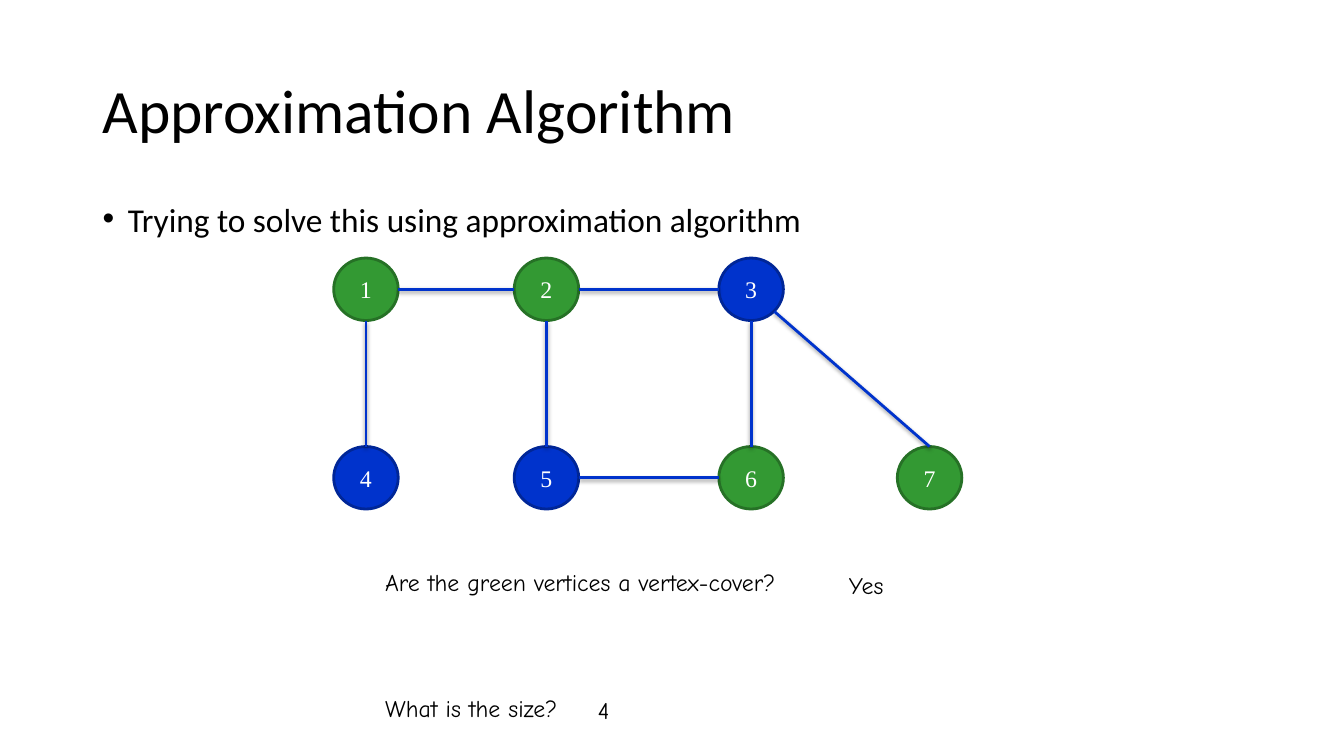
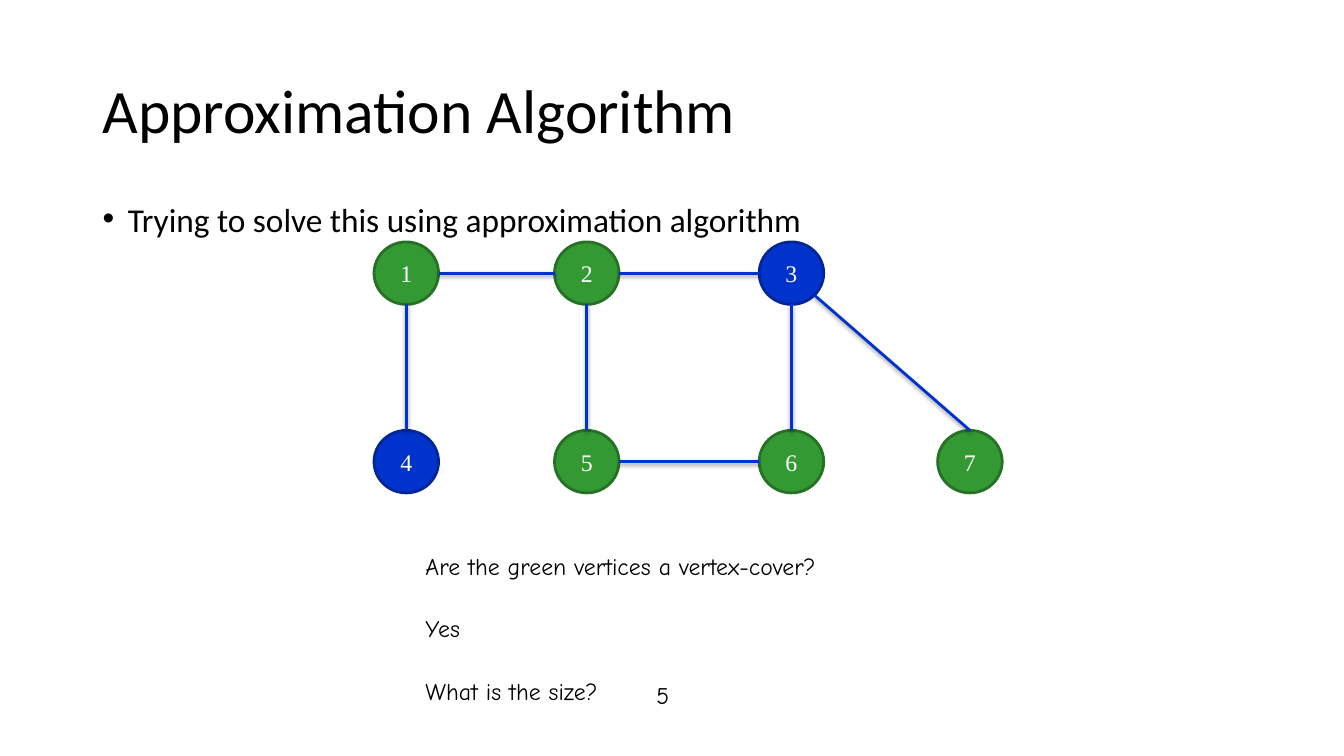
"""Build two slides that test a vertex cover on a seven-node graph."""
from lxml.etree import SubElement
from pptx import Presentation
from pptx.dml.color import RGBColor
from pptx.enum.shapes import MSO_CONNECTOR, MSO_SHAPE
from pptx.enum.text import MSO_ANCHOR, MSO_AUTO_SIZE, PP_ALIGN
from pptx.oxml.ns import qn
from pptx.util import Pt

PX = 9144
BLACK, WHITE, BLUE = "000000", "FFFFFF", "0033CC"
COVERED = {"fill": "339933", "edge": "267126"}
UNCOVERED = {"fill": BLUE, "edge": "002697"}

INSETS = {"margin_left": 11 * PX, "margin_right": 11 * PX, "margin_top": 5 * PX, "margin_bottom": 5 * PX}
TITLE = {
    "frame": {"word_wrap": True, "vertical_anchor": MSO_ANCHOR.MIDDLE},
    "paragraph": {"line_spacing": 0.9},
    "font": {"name": "Calibri", "size": Pt(44)},
}
BULLET = {
    "frame": {"word_wrap": True},
    "paragraph": {"line_spacing": 0.8},
    "font": {"name": "Calibri", "size": Pt(23.8)},
}
NODE = {
    "frame": {**INSETS, "word_wrap": True, "vertical_anchor": MSO_ANCHOR.MIDDLE},
    "paragraph": {"alignment": PP_ALIGN.CENTER},
    "font": {"name": "Times New Roman", "size": Pt(17)},
}
QUESTION = {
    "frame": {**INSETS, "word_wrap": True, "auto_size": MSO_AUTO_SIZE.SHAPE_TO_FIT_TEXT},
    "paragraph": {"alignment": PP_ALIGN.LEFT},
    "font": {"name": "Comic Neue", "size": Pt(17)},
}

NODE_W, NODE_H = 64, 62
NODE_PLACES = {4: (0, 187), 1: (0, 0), 2: (179, 0), 3: (382, 0), 6: (382, 187), 5: (179, 187), 7: (559, 187)}
SIDES = {"top": (32, 0), "left": (0, 31), "bottom": (32, 62), "right": (64, 31), "lower right": (55, 53)}
EDGES = [
    (1, "bottom", 4, "top"),
    (1, "right", 2, "left"),
    (2, "right", 3, "left"),
    (2, "bottom", 5, "top"),
    (3, "lower right", 7, "top"),
    (3, "bottom", 6, "top"),
    (5, "right", 6, "left"),
]
COVER_QUESTION, SIZE_QUESTION = "Are the green vertices a vertex-cover?", "What is the size?"
STEPS = [
    {
        "origin": (331, 256),
        "cover": {1, 2, 6, 7},
        "lines": [
            (COVER_QUESTION, 371, 558, 458),
            ("Yes", 831, 561, 76),
            (SIZE_QUESTION, 371, 683, 632),
            ("4", 582, 685, 40),
        ],
    },
    {
        "origin": (371, 240),
        "cover": {1, 2, 5, 6, 7},
        "lines": [
            (COVER_QUESTION, 411, 542, 458),
            ("Yes", 411, 604, 458),
            (SIZE_QUESTION, 411, 666, 632),
            ("5", 640, 670, 632),
        ],
    },
]


def paint(fill, color):
    fill.solid()
    fill.fore_color.rgb = RGBColor.from_string(color)


def write(shape, text, style, color=BLACK):
    frame = shape.text_frame
    frame.text = text
    paragraph = frame.paragraphs[0]
    targets = {"frame": frame, "paragraph": paragraph, "font": paragraph.runs[0].font}
    for part, target in targets.items():
        for name, value in style[part].items():
            setattr(target, name, value)
    paint(targets["font"].fill, color)
    return paragraph


deck = Presentation()
deck.slide_width, deck.slide_height = 1333 * PX, 750 * PX

for step in STEPS:
    slide = deck.slides.add_slide(deck.slide_layouts[6])
    shapes = slide.shapes
    paint(slide.background.fill, WHITE)

    write(shapes.add_textbox(92 * PX, 40 * PX, 1150 * PX, 145 * PX), "Approximation Algorithm", TITLE)
    intro = write(
        shapes.add_textbox(92 * PX, 200 * PX, 726 * PX, 56 * PX),
        "Trying to solve this using approximation algorithm",
        BULLET,
    )
    bullet_format = intro._p.get_or_add_pPr()
    bullet_format.set("marL", str(25 * PX))
    bullet_format.set("indent", str(-25 * PX))
    SubElement(bullet_format, qn("a:buFont"), typeface="Arial")
    SubElement(bullet_format, qn("a:buChar"), char="•")

    left, top = step["origin"]
    corners = {number: (left + x, top + y) for number, (x, y) in NODE_PLACES.items()}
    for number, (x, y) in corners.items():
        node = shapes.add_shape(MSO_SHAPE.OVAL, x * PX, y * PX, NODE_W * PX, NODE_H * PX)
        colors = COVERED if number in step["cover"] else UNCOVERED
        node.shadow.inherit = False
        paint(node.fill, colors["fill"])
        paint(node.line.fill, colors["edge"])
        node.line.width = Pt(2)
        write(node, str(number), NODE, WHITE)

    for start, start_side, end, end_side in EDGES:
        ends = [
            (corner + offset) * PX
            for number, side in ((start, start_side), (end, end_side))
            for corner, offset in zip(corners[number], SIDES[side])
        ]
        edge = shapes.add_connector(MSO_CONNECTOR.STRAIGHT, *ends)
        paint(edge.line.fill, BLUE)
        edge.line.width = Pt(2)
        effects = SubElement(edge._element.spPr, qn("a:effectLst"))
        shadow = SubElement(
            effects, qn("a:outerShdw"), blurRad=str(Pt(3.1)), dist=str(Pt(1.6)), dir="5400000", rotWithShape="0"
        )
        shade = SubElement(shadow, qn("a:srgbClr"), val=BLACK)
        SubElement(shade, qn("a:alpha"), val="38000")

    for text, x, y, width in step["lines"]:
        write(shapes.add_textbox(x * PX, y * PX, width * PX, 40 * PX), text, QUESTION)

deck.save("out.pptx")
